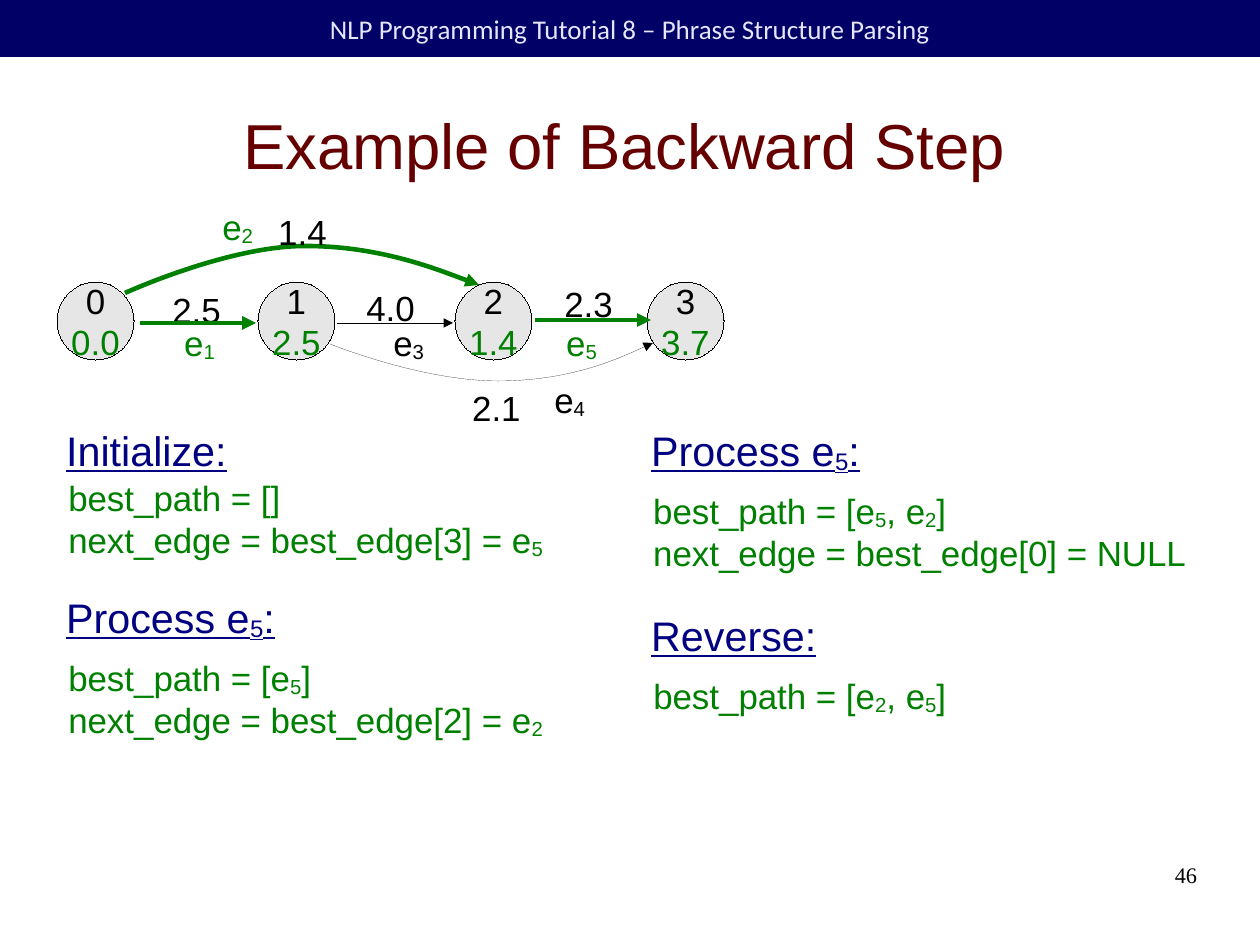
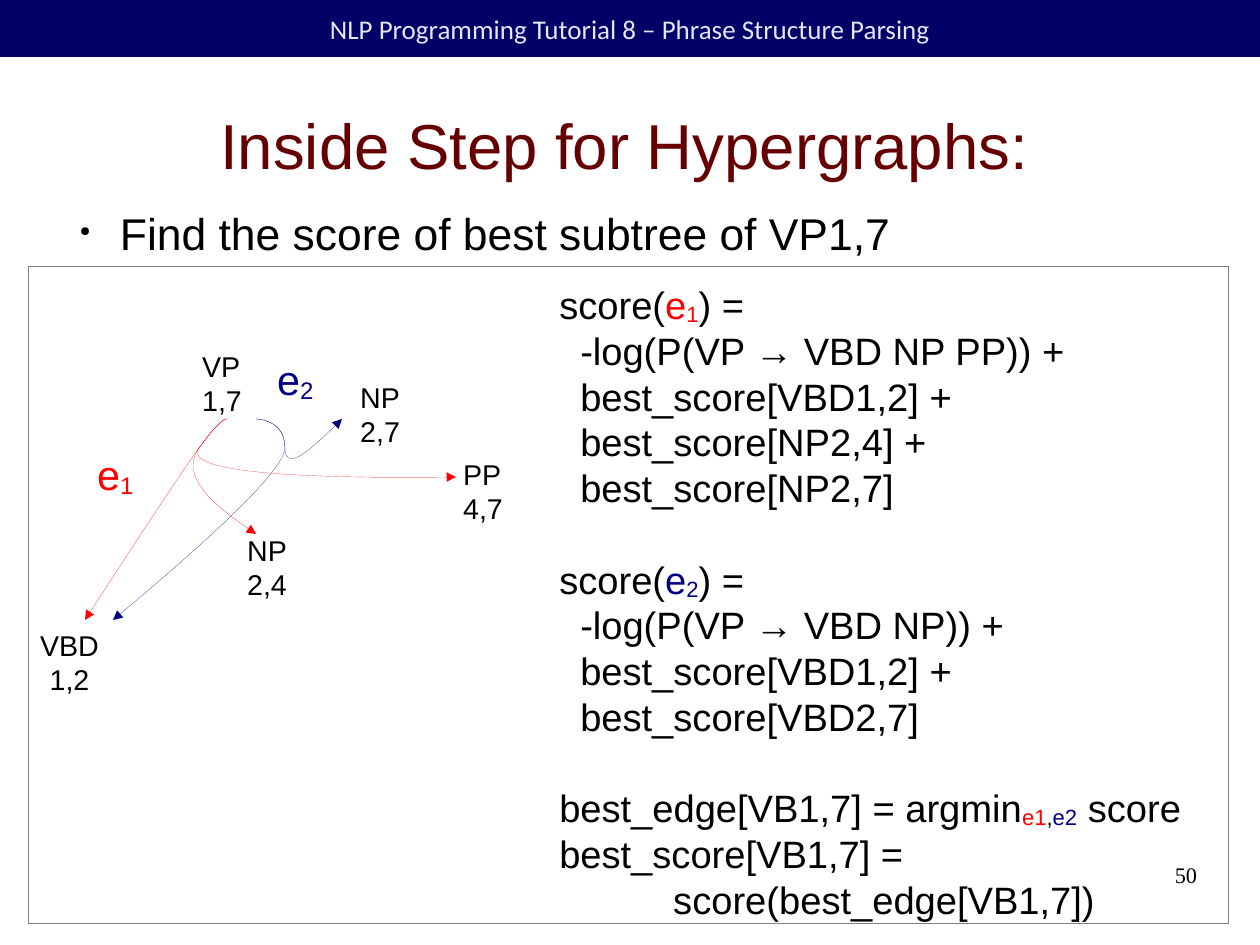
from lxml import etree
from pptx import Presentation
from pptx.dml.color import RGBColor
from pptx.enum.shapes import MSO_CONNECTOR, MSO_SHAPE
from pptx.enum.text import MSO_ANCHOR, MSO_AUTO_SIZE, PP_ALIGN
from pptx.oxml.ns import qn
from pptx.util import Emu, Pt

EMU_PER_PX = 8000
LEFT, CENTER, RIGHT = PP_ALIGN.LEFT, PP_ALIGN.CENTER, PP_ALIGN.RIGHT
MIDDLE, TOP = MSO_ANCHOR.MIDDLE, MSO_ANCHOR.TOP
OVAL, RECTANGLE = MSO_SHAPE.OVAL, MSO_SHAPE.RECTANGLE
STRAIGHT = MSO_CONNECTOR.STRAIGHT
GROW = MSO_AUTO_SIZE.SHAPE_TO_FIT_TEXT
TITLE_ONLY = 5
BOUND_STEPS = 50
THICK = 2.89
COLORS = {
    "band": "000066", "band_text": "E6E6FF", "title": "660000",
    "black": "000000", "green": "008000", "navy": "000080",
    "red": "FF0000", "node": "E6E6E6", "frame": "808080",
}


def px(value):
    """Turn px into EMU."""
    return Emu(round(value * EMU_PER_PX))


def rgb(name):
    """Look up a colour by name."""
    return RGBColor.from_string(COLORS[name])


def style_line(shape, color, width=0, arrow=False):
    """Set line colour and width, with an arrowhead at the end if asked."""
    shape.line.color.rgb = rgb(color)
    ln = shape._element.spPr.find(qn("a:ln"))
    ln.set("w", str(Pt(width)))
    if arrow:
        etree.SubElement(ln, qn("a:tailEnd"), type="triangle")


def write_runs(paragraph, content, size, color, font="Arial", underline=None):
    """Write a string or (text, colour) chunks; braces mark subscripts."""
    chunks = [(content, color)] if isinstance(content, str) else content
    for text, chunk_color in chunks:
        for index, piece in enumerate(text.replace("}", "{").split("{")):
            if not piece:
                continue
            run = paragraph.add_run()
            run.text = piece
            run.font.size = Pt(size)
            run.font.name = font
            run.font.underline = underline
            run.font.color.rgb = rgb(chunk_color)
            if index % 2:
                run._r.get_or_add_rPr().set("baseline", "-8000")


def write_lines(frame, lines, size, color, align=LEFT, anchor=TOP, **style):
    """Fill a text frame with one paragraph for each line."""
    frame.vertical_anchor = anchor
    for index, line in enumerate(lines):
        paragraph = frame.add_paragraph() if index else frame.paragraphs[0]
        paragraph.alignment = align
        write_runs(paragraph, line, size, color, **style)


def set_margins(frame, horizontal, vertical):
    """Set equal side margins and equal top and bottom margins in px."""
    frame.margin_left = frame.margin_right = px(horizontal)
    frame.margin_top = frame.margin_bottom = px(vertical)


def add_label(slide, box, lines, size, color, **style):
    """Add a text box that does not wrap."""
    label = slide.shapes.add_textbox(*map(px, box))
    frame = label.text_frame
    frame.word_wrap = False
    frame.auto_size = GROW
    write_lines(frame, lines, size, color, **style)
    return frame


def add_plain_shape(slide, kind, box, fill=None, line=None):
    """Add a preset shape without shadow."""
    shape = slide.shapes.add_shape(kind, *map(px, box))
    if fill:
        shape.fill.solid()
        shape.fill.fore_color.rgb = rgb(fill)
    else:
        shape.fill.background()
    if line:
        style_line(shape, line)
    else:
        shape.line.fill.background()
    shape.shadow.inherit = False
    return shape


def add_node(slide, left, number, score):
    """Add a graph node with its number and best score."""
    node = add_plain_shape(slide, OVAL, (left, 282, 77, 78), "node", "black")
    node.text_frame.word_wrap = False
    write_lines(node.text_frame, [number, [(score, "green")]], 22, "black",
                align=CENTER, anchor=MIDDLE)


def add_arrow(slide, start, end, color, width=0):
    """Add a straight arrow."""
    arrow = slide.shapes.add_connector(STRAIGHT, *map(px, start + end))
    style_line(arrow, color, width, arrow=True)
    etree.SubElement(arrow._element.spPr, qn("a:effectLst"))


def curve_range(points, axis):
    """Return the least and greatest coordinate of joined cubic curves."""
    values = []
    for first in range(0, len(points) - 1, 3):
        a, b, c, d = (point[axis] for point in points[first:first + 4])
        for step in range(BOUND_STEPS + 1):
            t = step / BOUND_STEPS
            s = 1 - t
            values.append(a * s ** 3 + 3 * b * s * s * t
                          + 3 * c * s * t * t + d * t ** 3)
    return px(min(values)), px(max(values))


def add_curved_arrow(slide, points, color, width=0):
    """Add an arrow along joined cubic curves."""
    outline = slide.shapes.build_freeform(*map(px, points[0]))
    outline.add_line_segments([tuple(map(px, point)) for point in points[1:]],
                              close=False)
    arrow = outline.convert_to_shape()
    (left, right), (top, bottom) = (curve_range(points, 0),
                                    curve_range(points, 1))
    arrow.left, arrow.top = left, top
    arrow.width, arrow.height = right - left, bottom - top
    route = next(arrow._element.spPr.iter(qn("a:path")))
    route.set("w", str(right - left))
    route.set("h", str(bottom - top))
    for segment in list(route):
        route.remove(segment)
    pieces = [("a:moveTo", points[:1])]
    pieces += [("a:cubicBezTo", points[first:first + 3])
               for first in range(1, len(points), 3)]
    for tag, piece in pieces:
        segment = etree.SubElement(route, qn(tag))
        for x, y in piece:
            etree.SubElement(segment, qn("a:pt"),
                             x=str(px(x) - left), y=str(px(y) - top))
    arrow.fill.background()
    style_line(arrow, color, width, arrow=True)
    arrow.shadow.inherit = False


def add_base_slide(prs, title):
    """Add a slide with the header band and the title."""
    slide = prs.slides.add_slide(prs.slide_layouts[TITLE_ONLY])
    band = add_plain_shape(slide, RECTANGLE, (0, 0, 1260, 57), "band")
    write_lines(band.text_frame,
                ["NLP Programming Tutorial 8 – Phrase Structure Parsing"],
                17, "band_text", align=CENTER, anchor=MIDDLE, font="Calibri")
    heading = slide.shapes.title
    heading.left, heading.top, heading.width, heading.height = map(
        px, (57, 72, 1134, 145))
    set_margins(heading.text_frame, 0, 0)
    write_lines(heading.text_frame, [title], 40, "title",
                align=CENTER, anchor=MIDDLE)
    return slide


def add_page_number(slide, number):
    """Add the page number at the lower right."""
    page = slide.shapes.add_textbox(*map(px, (903, 861, 294, 65)))
    page.text_frame.word_wrap = True
    set_margins(page.text_frame, 0, 0)
    write_lines(page.text_frame, [number], 14, "black", align=RIGHT,
                font="Times New Roman")


def add_bullet(slide, text):
    """Add the bulleted line below the title."""
    bullet = slide.shapes.add_textbox(*map(px, (66, 206, 1134, 57)))
    bullet.text_frame.word_wrap = True
    set_margins(bullet.text_frame, 0, 0)
    paragraph = bullet.text_frame.paragraphs[0]
    properties = paragraph._p.get_or_add_pPr()
    properties.set("marL", str(px(54)))
    properties.set("indent", str(px(-40)))
    etree.SubElement(properties, qn("a:buSzPct"), val="30000")
    etree.SubElement(properties, qn("a:buChar"), char="●")
    write_runs(paragraph, text, 28, "black")


def build_backward_step(prs):
    """Build the slide that traces the best path backward."""
    slide = add_base_slide(prs, "Example of Backward Step")
    nodes = [(57, "0.0"), (258, "2.5"), (455, "1.4"), (647, "3.7")]
    for number, (left, score) in enumerate(nodes):
        add_node(slide, left, str(number), score)

    weights = [("2.5", 161, 283), ("4.0", 355, 281), ("2.3", 553, 277),
               ("2.1", 461, 381)]
    for weight, left, top in weights:
        add_label(slide, (left, top, 104, 75), [weight], 22, "black")

    add_curved_arrow(slide, [(330, 344), (330, 344), (421, 381), (498, 381),
                             (575, 381), (653, 343), (653, 343)], "black")
    add_arrow(slide, (337, 323), (453, 323), "black")
    add_curved_arrow(slide, [(125, 293), (125, 293), (228, 246), (305, 246),
                             (382, 246), (479, 285), (479, 285)],
                     "green", THICK)
    add_arrow(slide, (535, 320), (651, 320), "green", THICK)
    add_arrow(slide, (140, 323), (256, 323), "green", THICK)

    add_label(slide, (267, 205, 104, 75), ["1.4"], 22, "black")
    edges = [("e{1}", 173, 316, "green"), ("e{2}", 211, 200, "green"),
             ("e{3}", 382, 316, "black"), ("e{5}", 555, 316, "green"),
             ("e{4}", 543, 373, "black")]
    for edge, left, top, color in edges:
        add_label(slide, (left, top, 69, 83), [edge], 22, color)

    steps = [
        ("Initialize:", (55, 420, 187, 57), (57, 471, 500, 101),
         ["best_path = []", "next_edge = best_edge[3] = e{5}"]),
        ("Process e{5}:", (55, 587, 234, 71), (57, 651, 500, 112),
         ["best_path = [e{5}]", "next_edge = best_edge[2] = e{2}"]),
        ("Process e{5}:", (640, 420, 234, 71), (642, 484, 559, 101),
         ["best_path = [e{5}, e{2}]", "next_edge = best_edge[0] = NULL"]),
        ("Reverse:", (640, 605, 191, 57), (642, 669, 319, 62),
         ["best_path = [e{2}, e{5}]"]),
    ]
    for step, step_box, code_box, code in steps:
        add_label(slide, step_box, [step], 26, "navy", underline=True)
        add_label(slide, code_box, code, 22, "green")
    add_page_number(slide, "46")


def build_inside_step(prs):
    """Build the slide that scores two hyperedges."""
    slide = add_base_slide(prs, "Inside Step for Hypergraphs:")
    add_bullet(slide, "Find the score of best subtree of VP1,7")

    spans = [("VBD", "1,2", 27, 622, 85, CENTER),
             ("NP", "2,4", 236, 527, 65, LEFT),
             ("PP", "4,7", 452, 451, 65, LEFT),
             ("VP", "1,7", 191, 343, 65, LEFT),
             ("NP", "2,7", 349, 374, 65, LEFT)]
    for symbol, span, left, top, width, align in spans:
        add_label(slide, (left, top, width, 75), [symbol, span], 18, "black",
                  align=align)

    red_stem = [(227, 419), (227, 419), (223, 415), (199, 448), (175, 481)]
    navy_stem = [(256, 419), (256, 419), (285, 419), (285, 448), (285, 477)]
    branches = [(navy_stem, (113, 620), "navy"), (red_stem, (85, 620), "red"),
                (red_stem, (256, 534), "red"), (red_stem, (456, 477), "red"),
                (navy_stem, (342, 419), "navy")]
    for stem, tip, color in branches:
        add_curved_arrow(slide, stem + [tip, tip], color)

    scores = [
        (0, [("score(", "black"), ("e{1}", "red"), (") =", "black")]),
        (21, "-log(P(VP → VBD NP PP)) +"),
        (21, "best_score[VBD1,2] +"),
        (21, "best_score[NP2,4] +"),
        (21, "best_score[NP2,7]"),
        (0, [("score(", "black"), ("e{2}", "navy"), (") =", "black")]),
        (21, "-log(P(VP → VBD NP)) +"),
        (21, "best_score[VBD1,2] +"),
        (21, "best_score[VBD2,7]"),
        (0, [("best_edge[VB1,7] = argmin", "black"), ("{e1}", "red"),
             ("{,}", "black"), ("{e2}", "navy"), (" score", "black")]),
        (0, "best_score[VB1,7] ="),
        (114, "score(best_edge[VB1,7])"),
    ]
    block_starts = (5, 9)
    formulas = add_label(slide, (548, 276, 645, 644),
                         [line for _, line in scores], 24, "black")
    for index, (indent, _) in enumerate(scores):
        paragraph = formulas.paragraphs[index]
        paragraph._p.get_or_add_pPr().set("marL", str(px(indent)))
        if index in block_starts:
            paragraph.space_before = Pt(28.8)

    add_label(slide, (86, 444, 61, 71), ["e{1}"], 26, "red")
    add_label(slide, (266, 349, 61, 71), ["e{2}"], 26, "navy")
    add_plain_shape(slide, RECTANGLE, (29, 267, 1200, 657), line="frame")
    add_page_number(slide, "50")


def main():
    """Build and save the presentation."""
    prs = Presentation()
    prs.slide_width, prs.slide_height = px(1260), px(945)
    build_backward_step(prs)
    build_inside_step(prs)
    prs.save("out.pptx")


if __name__ == "__main__":
    main()
